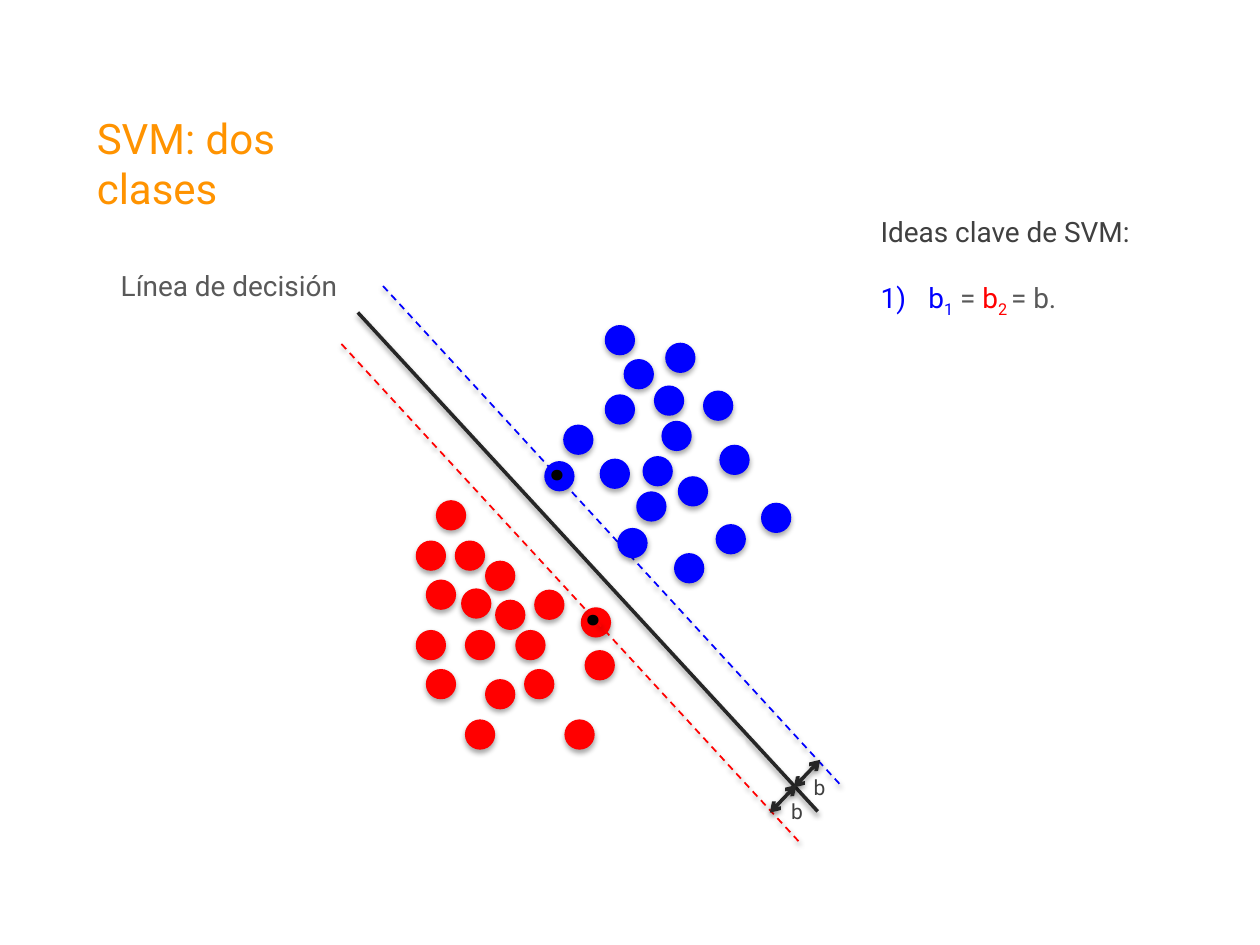
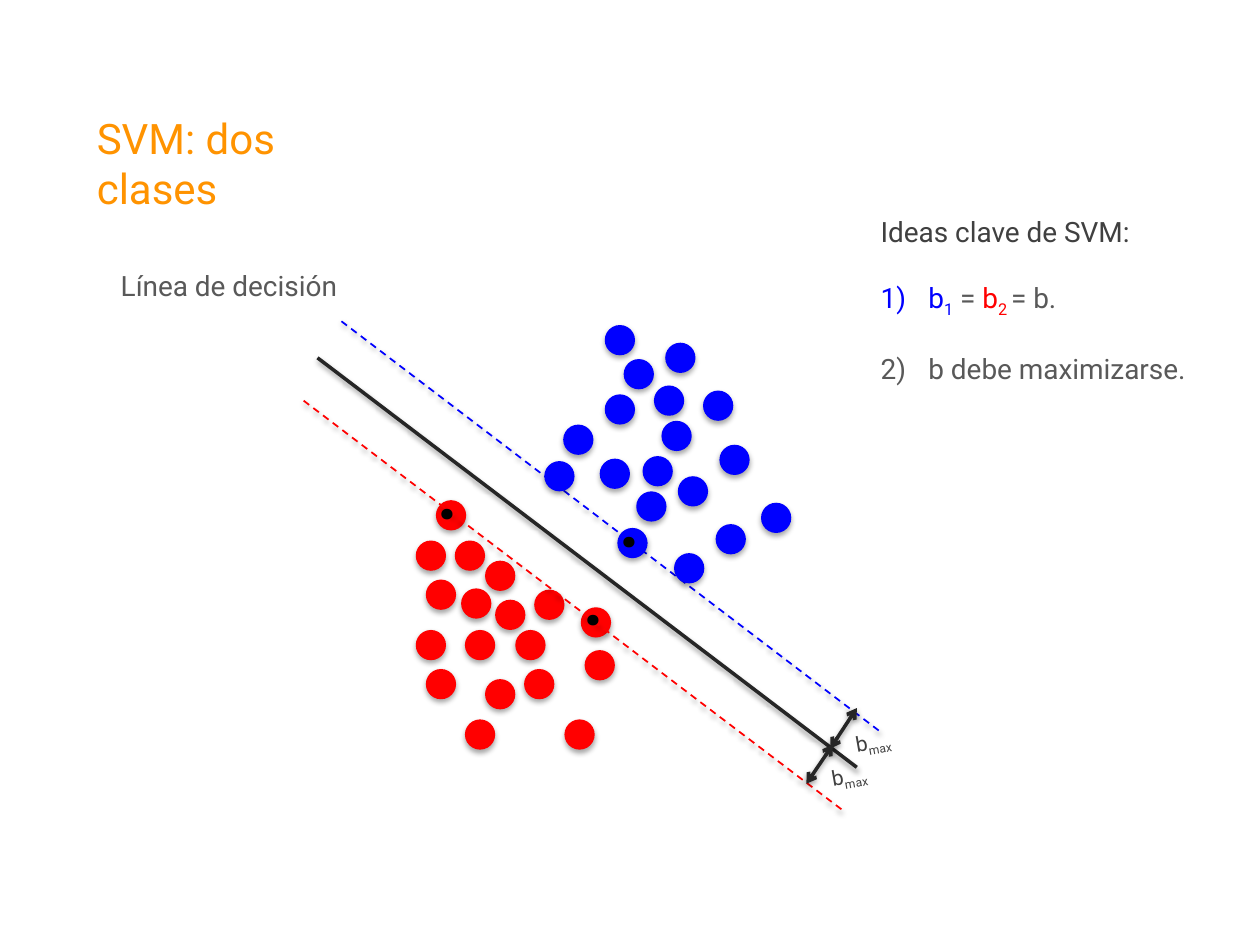
import pptx
import pptx.dml.color
import pptx.enum.dml
import pptx.enum.shapes
import pptx.oxml
import pptx.oxml.ns
import pptx.util

Inches = pptx.util.Inches
Pt = pptx.util.Pt
RGBColor = pptx.dml.color.RGBColor

# Shared style
ORANGE = RGBColor(0xFF, 0x93, 0x00)
BLUE = RGBColor(0x00, 0x00, 0xFF)
RED = RGBColor(0xFF, 0x00, 0x00)
BLACK = RGBColor(0x00, 0x00, 0x00)
LINE_DARK = RGBColor(0x26, 0x26, 0x26)
TEXT_DARK = RGBColor(0x40, 0x40, 0x40)
GREY = RGBColor(0x59, 0x59, 0x59)
FONT = "Roboto"
DOT = 0.24
NS = pptx.oxml.ns.nsdecls("a")
SHADOW = (
    f'<a:effectLst {NS}><a:outerShdw blurRad="{Pt(3.1)}" dist="%d" dir="5400000" rotWithShape="0">'
    '<a:srgbClr val="000000"><a:alpha val="%d"/></a:srgbClr></a:outerShdw></a:effectLst>'
)
DOT_SHADOW = SHADOW % (Pt(1.8), 35000)
LINE_SHADOW = SHADOW % (Pt(1.6), 38000)

# Points of the two classes (left, top)
RED_POINTS = [
    (3.46, 3.97), (3.38, 4.6), (3.3, 4.29), (3.66, 4.67), (3.69, 5), (3.85, 4.45),
    (4.24, 4.68), (4.16, 5.31), (4.09, 5), (4.61, 4.82), (4.48, 5.71), (4.64, 5.16),
    (3.61, 4.29), (3.38, 5.31), (3.3, 5), (3.93, 4.76), (3.69, 5.71), (3.85, 5.39),
]
BLUE_POINTS = [
    (5.28, 2.72), (4.8, 3.13), (4.95, 2.85), (5.58, 3.1), (4.76, 3.64), (5.25, 3.34),
    (5.38, 3.78), (4.9, 4.19), (5.05, 3.9), (5.68, 4.16), (5.71, 3.53), (5.35, 4.39),
    (5.19, 3.06), (4.32, 3.66), (4.47, 3.37), (5.1, 3.62), (6.04, 3.99), (4.8, 2.58),
]

# Key ideas: one list of (text, colour, subscript) runs per paragraph
HEADING = [("Ideas clave de SVM:", TEXT_DARK, False)]
EQUAL_MARGINS = [
    ("b", BLUE, False), ("1", BLUE, True), (" = ", GREY, False),
    ("b", RED, False), ("2 ", RED, True), ("= b.", GREY, False),
]
MAXIMISE = [("b debe maximizarse.", GREY, False)]
B = [("b", TEXT_DARK, False)]
B_MAX = B + [("max", TEXT_DARK, True)]

# What differs between the slides; lines are (x1, y1, x2, y2)
SLIDES = [
    {
        "decision": (2.84, 2.48, 6.49, 6.44),
        "blue_margin": (3.04, 2.27, 6.68, 6.24),
        "red_margin": (2.71, 2.73, 6.35, 6.69),
        "arrows": [(6.3, 6.25, 6.51, 6.03), (6.11, 6.45, 6.32, 6.23)],
        "labels": [(6.36, 6.1), (6.18, 6.29)],
        "label": B, "label_width": 0.3, "label_rotation": 0,
        "support_dots": [(4.25, 3.21), (4.53, 4.36)],
        "ideas": [HEADING, EQUAL_MARGINS], "ideas_height": 1.18,
    },
    {
        "decision": (2.52, 2.84, 6.8, 6.09),
        "blue_margin": (2.71, 2.55, 6.99, 5.81),
        "red_margin": (2.41, 3.18, 6.7, 6.44),
        "arrows": [(6.59, 5.94, 6.8, 5.62), (6.4, 6.22, 6.61, 5.91)],
        "labels": [(6.69, 5.73), (6.5, 6)],
        "label": B_MAX, "label_width": 0.51, "label_rotation": -10.2,
        "support_dots": [(4.82, 3.74), (4.53, 4.36), (3.37, 3.52)],
        "ideas": [HEADING, EQUAL_MARGINS, MAXIMISE], "ideas_height": 1.45,
    },
]


def add_text(s, box, paragraphs, size, bold=False, numbered=False):
    sp = s.shapes.add_textbox(*map(Inches, box))
    tf = sp.text_frame
    tf.word_wrap = True
    tf.margin_right = 0
    for i, runs in enumerate(paragraphs):
        p = tf.paragraphs[0] if i == 0 else tf.add_paragraph()
        if numbered and i > 0:
            pPr = p._p.get_or_add_pPr()
            pPr.set("marL", str(Inches(0.38)))
            pPr.set("indent", str(-Inches(0.38)))
            pPr.append(pptx.oxml.parse_xml(f'<a:buAutoNum {NS} type="arabicParenR"/>'))
            p.space_before = Pt(18.75)
        for text, color, subscript in runs:
            r = p.add_run()
            r.text = text
            for name, value in {"name": FONT, "size": Pt(size), "bold": bold}.items():
                setattr(r.font, name, value)
            r.font.color.rgb = color
            if subscript:
                r._r.get_or_add_rPr().set("baseline", "-25000")
    return sp


def add_line(s, ends, color, width, dashed=False, arrows=False):
    straight = pptx.enum.shapes.MSO_CONNECTOR.STRAIGHT
    sp = s.shapes.add_connector(straight, *map(Inches, ends))
    sp.line.color.rgb = color
    sp.line.width = Pt(width)
    if dashed:
        sp.line.dash_style = pptx.enum.dml.MSO_LINE.DASH
    if arrows:
        for tag in ("headEnd", "tailEnd"):
            sp.line._get_or_add_ln().append(pptx.oxml.parse_xml(f'<a:{tag} {NS} type="arrow"/>'))
    sp._element.spPr.append(pptx.oxml.parse_xml(LINE_SHADOW))


prs = pptx.Presentation()
prs.slide_width = Inches(10)
prs.slide_height = Inches(7.5)

for data in SLIDES:
    s = prs.slides.add_slide(prs.slide_layouts[6])

    # Decision line, then each class with its margin
    add_line(s, data["decision"], LINE_DARK, 2)
    add_line(s, data["blue_margin"], BLUE, 1, dashed=True)
    for color, points in ((RED, RED_POINTS), (BLUE, BLUE_POINTS)):
        for x, y in points:
            oval = pptx.enum.shapes.MSO_SHAPE.OVAL
            sp = s.shapes.add_shape(oval, *map(Inches, (x, y, DOT, DOT)))
            sp.fill.solid()
            sp.fill.fore_color.rgb = color
            sp.line.fill.background()
            sp._element.spPr.append(pptx.oxml.parse_xml(DOT_SHADOW))
    add_line(s, data["red_margin"], RED, 1, dashed=True)

    # Margin widths
    for ends in data["arrows"]:
        add_line(s, ends, LINE_DARK, 2, arrows=True)
    for x, y in data["labels"]:
        sp = add_text(s, (x, y, data["label_width"], 0.3), [data["label"]], 12)
        sp.rotation = data["label_rotation"]

    # Support vectors
    for x, y in data["support_dots"]:
        add_text(s, (x, y, 0.41, 0.77), [[(".", BLACK, False)]], 40, bold=True)

    # Title, caption and key ideas
    add_text(s, (0.67, 0.84, 2.43, 0.91), [[("SVM: dos clases", ORANGE, False)]], 24)
    add_text(s, (0.86, 2.08, 1.95, 0.64), [[("Línea de decisión", GREY, False)]], 16)
    add_text(s, (6.89, 1.65, 3.62, data["ideas_height"]), data["ideas"], 16, numbered=True)

prs.save("out.pptx")
